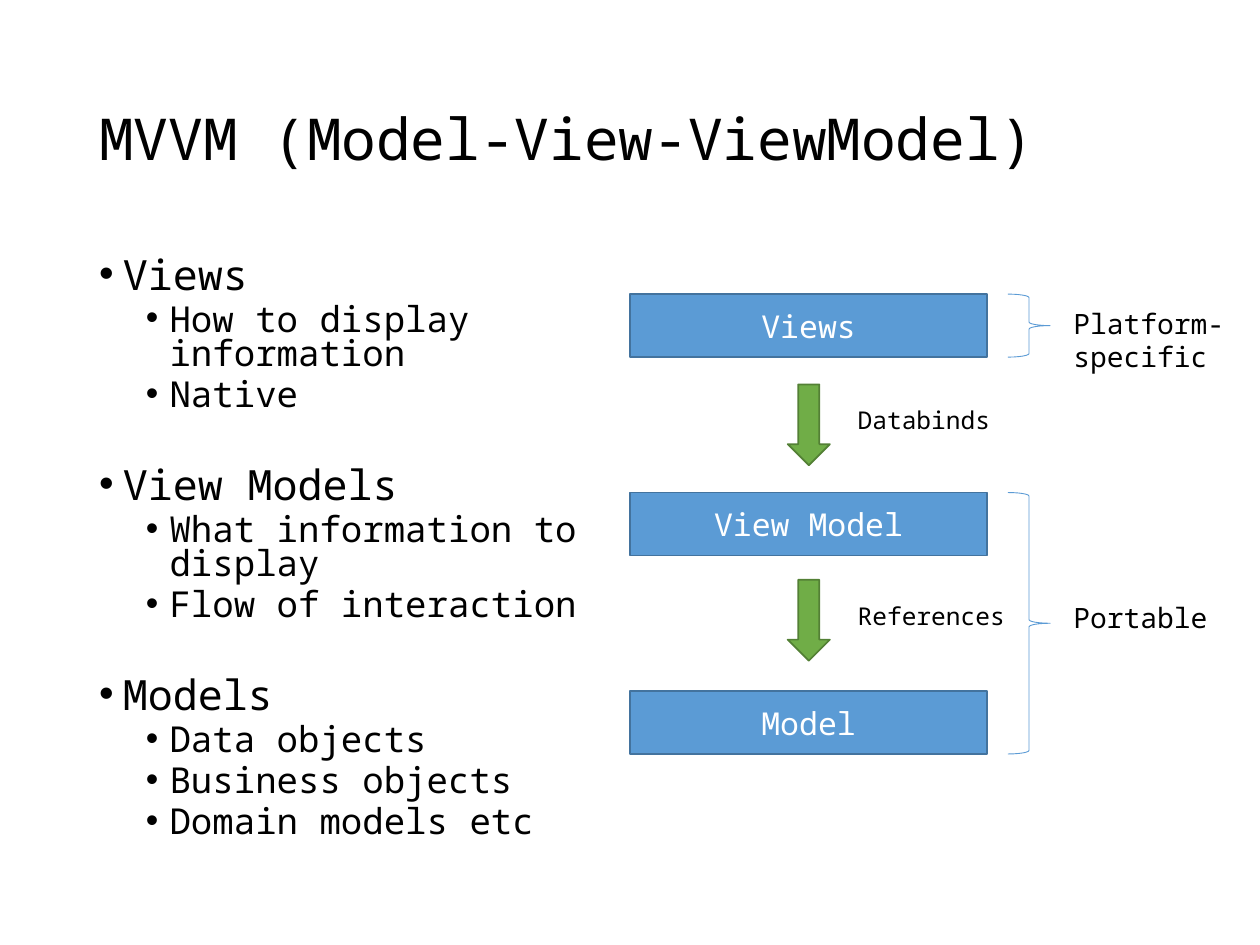
"""Build the MVVM slide with its bullet outline and layer diagram."""
from lxml import etree
from pptx import Presentation
from pptx import util as u
from pptx.dml.color import RGBColor
from pptx.enum import shapes, text
from pptx.oxml.ns import qn

OUTLINE = {
    "Views": ["How to display information", "Native"],
    "View Models": ["What information to display", "Flow of interaction"],
    "Models": ["Data objects", "Business objects", "Domain models etc"],
}
LAYERS = ["Views", "View Model", "Model"]
LINKS = ["Databinds", "References"]
LAYER_LEFT, LAYER_TOP, LAYER_STEP = 12.7, 5.93, 4
LAYER_WIDTH, LAYER_HEIGHT = 7.2, 1.27
LINK_TOP, LINK_STEP = 7.75, 3.94


class Page:
    FONT = "Noto Sans Mono"
    COLORS = {
        "ink": "000000", "paper": "FFFFFF",
        "layer": "5B9BD5", "layer_edge": "43739E",
        "arrow": "70AD47", "arrow_edge": "538035",
    }

    def __init__(self, deck):
        self.slide = deck.slides.add_slide(deck.slide_layouts[6])

    def color(self, name):
        return RGBColor.from_string(self.COLORS[name])

    def style(self, para, size, color="ink"):
        para.font.name = self.FONT
        para.font.size = u.Pt(size)
        para.font.color.rgb = self.color(color)

    def frame(self, left, top, width, height):
        box = self.slide.shapes.add_textbox(*map(u.Cm, (left, top, width, height)))
        box.text_frame.word_wrap = True
        return box.text_frame

    def label(self, words, left, top, width, height, size):
        frame = self.frame(left, top, width, height)
        para = frame.paragraphs[0]
        para.text = words
        self.style(para, size)
        return frame

    def title(self, words):
        frame = self.label(words, 1.75, 1.02, 21.89, 3.68, 33)
        frame.vertical_anchor = text.MSO_ANCHOR.MIDDLE
        frame.paragraphs[0].line_spacing = 0.9

    def bullet(self, para, words, level, size, before):
        para.text = words
        para.level = level
        para.line_spacing = 0.8
        para.space_before = u.Pt(before)
        props = para._p.get_or_add_pPr()
        props.set("marL", str(u.Cm(0.48 + 0.94 * level)))
        props.set("indent", str(u.Cm(-0.48)))
        etree.SubElement(props, qn("a:buFont"), typeface="Arial")
        etree.SubElement(props, qn("a:buChar"), char="•")
        self.style(para, size)

    def outline(self, topics):
        frame = self.frame(1.75, 5.08, 10.8, 12.09)
        for index, (topic, points) in enumerate(topics.items()):
            para = frame.add_paragraph() if index else frame.paragraphs[0]
            self.bullet(para, topic, 0, 23.8, 30.9 if index else 7.5)
            for point in points:
                self.bullet(frame.add_paragraph(), point, 1, 20.4, 3.8)

    def shape(self, kind, left, top, width, height, fill, edge, weight=1):
        shape = self.slide.shapes.add_shape(kind, *map(u.Cm, (left, top, width, height)))
        shape.shadow.inherit = False
        if fill:
            shape.fill.solid()
            shape.fill.fore_color.rgb = self.color(fill)
        else:
            shape.fill.background()
        shape.line.color.rgb = self.color(edge)
        shape.line.width = u.Pt(weight)
        return shape

    def layer(self, words, top):
        shape = self.shape(shapes.MSO_SHAPE.RECTANGLE, LAYER_LEFT, top,
                           LAYER_WIDTH, LAYER_HEIGHT, "layer", "layer_edge")
        shape.text_frame.vertical_anchor = text.MSO_ANCHOR.MIDDLE
        para = shape.text_frame.paragraphs[0]
        para.text = words
        para.alignment = text.PP_ALIGN.CENTER
        self.style(para, 18, "paper")

    def link(self, words, top):
        self.shape(shapes.MSO_SHAPE.DOWN_ARROW, 15.88, top, 0.85, 1.63,
                   "arrow", "arrow_edge")
        self.label(words, 17.04, top + 0.3, 4.5, 0.86, 14)

    def brace(self, words, top, height, label_top):
        self.shape(shapes.MSO_SHAPE.RIGHT_BRACE, 20.32, top, 0.85, height,
                   None, "layer", 0.5)
        self.label(words, 21.39, label_top, 3.81, 0.94, 16)


def main():
    deck = Presentation()
    deck.slide_width, deck.slide_height = u.Cm(25.4), u.Cm(19.05)
    page = Page(deck)
    page.title("MVVM (Model-View-ViewModel)")
    page.outline(OUTLINE)
    for index, name in enumerate(LAYERS):
        page.layer(name, LAYER_TOP + index * LAYER_STEP)
    for index, name in enumerate(LINKS):
        page.link(name, LINK_TOP + index * LINK_STEP)
    page.brace("Platform-specific", LAYER_TOP, LAYER_HEIGHT, 6.05)
    page.brace("Portable", LAYER_TOP + LAYER_STEP, LAYER_STEP + LAYER_HEIGHT, 11.99)
    deck.save("out.pptx")


if __name__ == "__main__":
    main()
